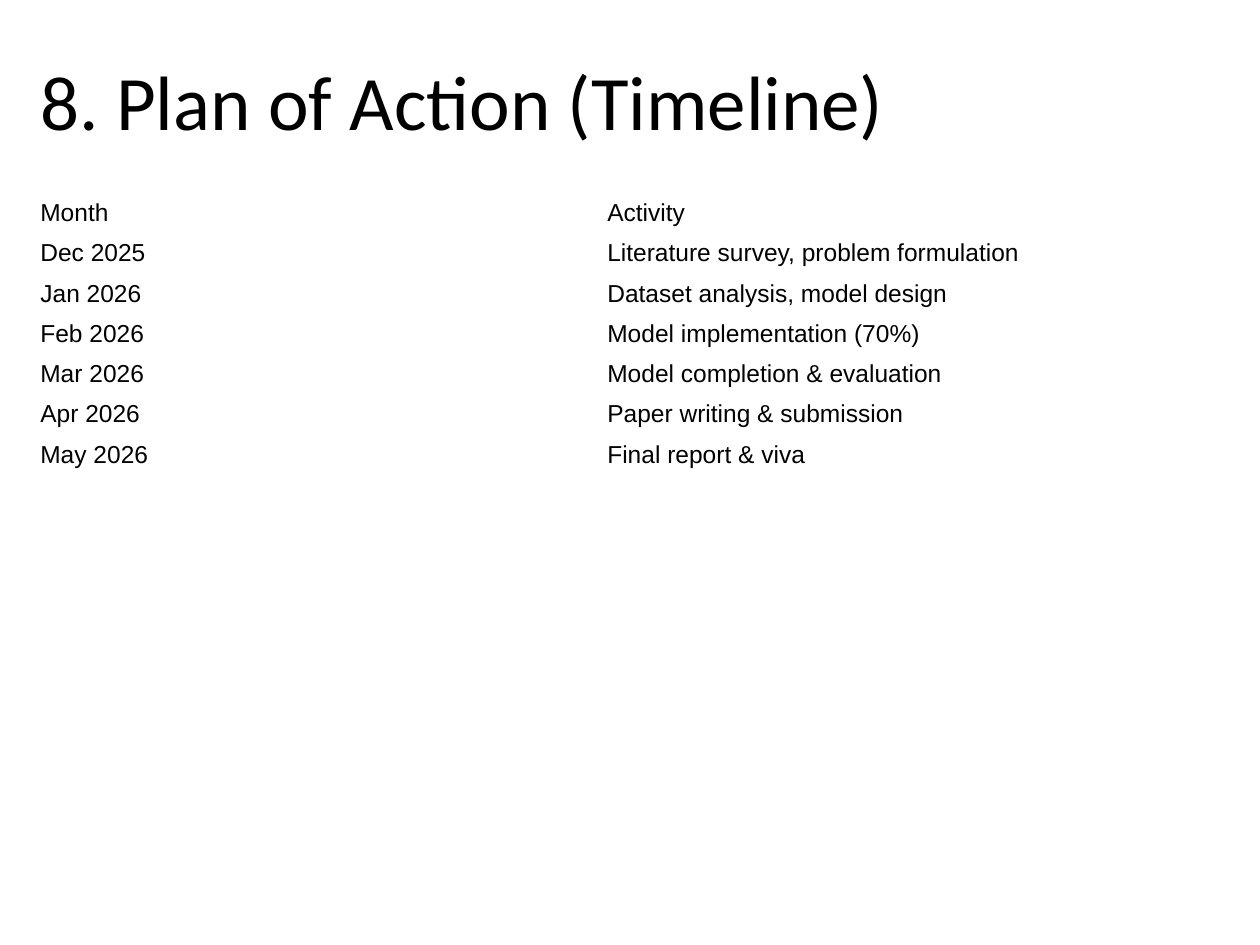
from pptx import Presentation
from pptx.dml.color import RGBColor
from pptx.enum.text import MSO_ANCHOR, PP_ALIGN
from pptx.util import Inches, Pt

BLACK = RGBColor(0x00, 0x00, 0x00)

LEFT = 0.22
COLUMN_WIDTH = 4.5
ROW_HEIGHT = 0.32

TIMELINE = [
    ("Month", "Activity"),
    ("Dec 2025", "Literature survey, problem formulation"),
    ("Jan 2026", "Dataset analysis, model design"),
    ("Feb 2026", "Model implementation (70%)"),
    ("Mar 2026", "Model completion & evaluation"),
    ("Apr 2026", "Paper writing & submission"),
    ("May 2026", "Final report & viva"),
]


def write_text(tf, text, font="Arial", size=14, color=BLACK):
    p = tf.paragraphs[0]
    p.alignment = PP_ALIGN.LEFT
    r = p.add_run()
    r.text = text
    r.font.name = font
    r.font.size = Pt(size)
    r.font.bold = False
    r.font.color.rgb = color


def add_title(slide, text):
    title = slide.shapes.title
    title.left, title.top = Inches(LEFT), Inches(0.25)
    title.width, title.height = Inches(8.5), Inches(1.09)
    title.text_frame.vertical_anchor = MSO_ANCHOR.MIDDLE
    write_text(title.text_frame, text, font="Calibri", size=44)


def add_timeline(slide, rows):
    columns = len(rows[0])
    table = slide.shapes.add_table(
        len(rows), columns, Inches(LEFT), Inches(1.53),
        Inches(COLUMN_WIDTH * columns), Inches(ROW_HEIGHT * len(rows))).table
    # Plain look: no header emphasis and no bands
    table.first_row = False
    table.horz_banding = False
    for column in table.columns:
        column.width = Inches(COLUMN_WIDTH)
    for i, values in enumerate(rows):
        table.rows[i].height = Inches(ROW_HEIGHT)
        for j, value in enumerate(values):
            cell = table.cell(i, j)
            cell.fill.background()
            cell.vertical_anchor = MSO_ANCHOR.MIDDLE
            cell.margin_top = cell.margin_bottom = Inches(0.04)
            write_text(cell.text_frame, value)


def main():
    prs = Presentation()
    prs.slide_width, prs.slide_height = Inches(10), Inches(7.5)
    slide = prs.slides.add_slide(prs.slide_layouts[5])  # title only
    add_title(slide, "8. Plan of Action (Timeline)")
    add_timeline(slide, TIMELINE)
    prs.save("out.pptx")


if __name__ == "__main__":
    main()
